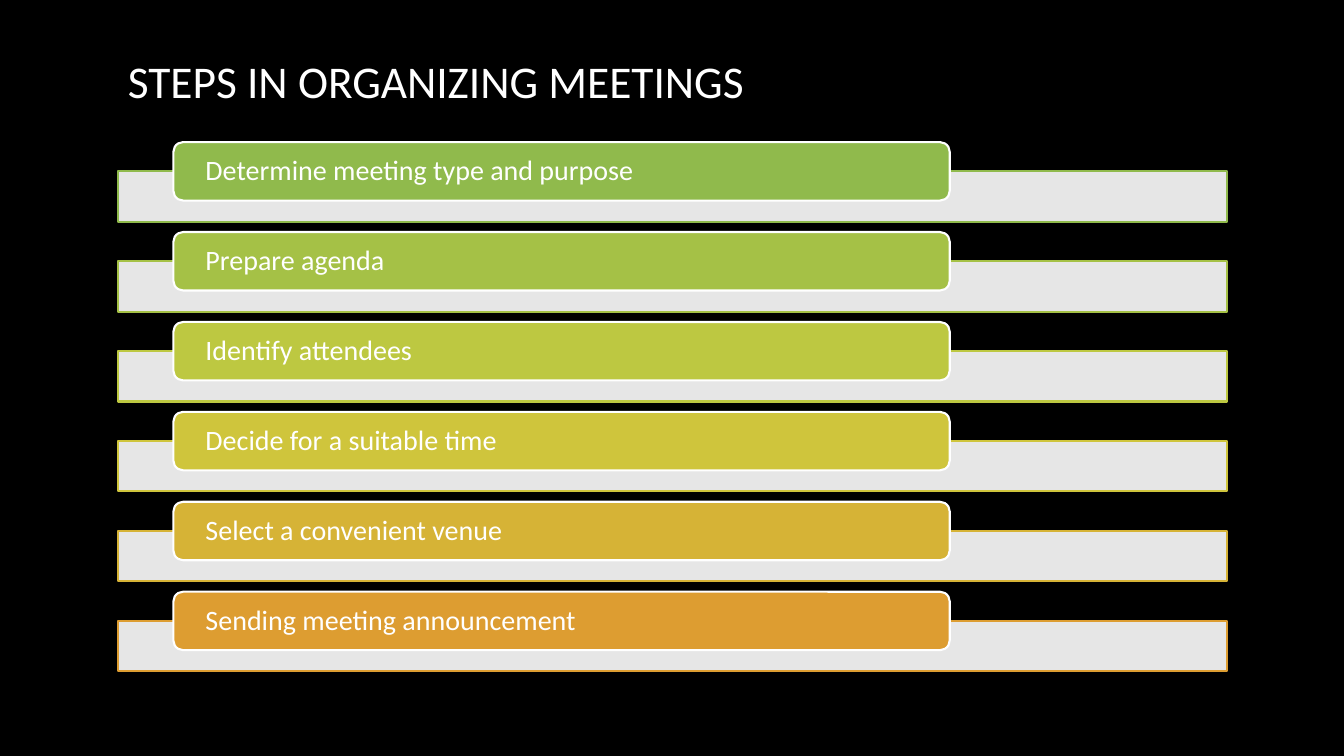
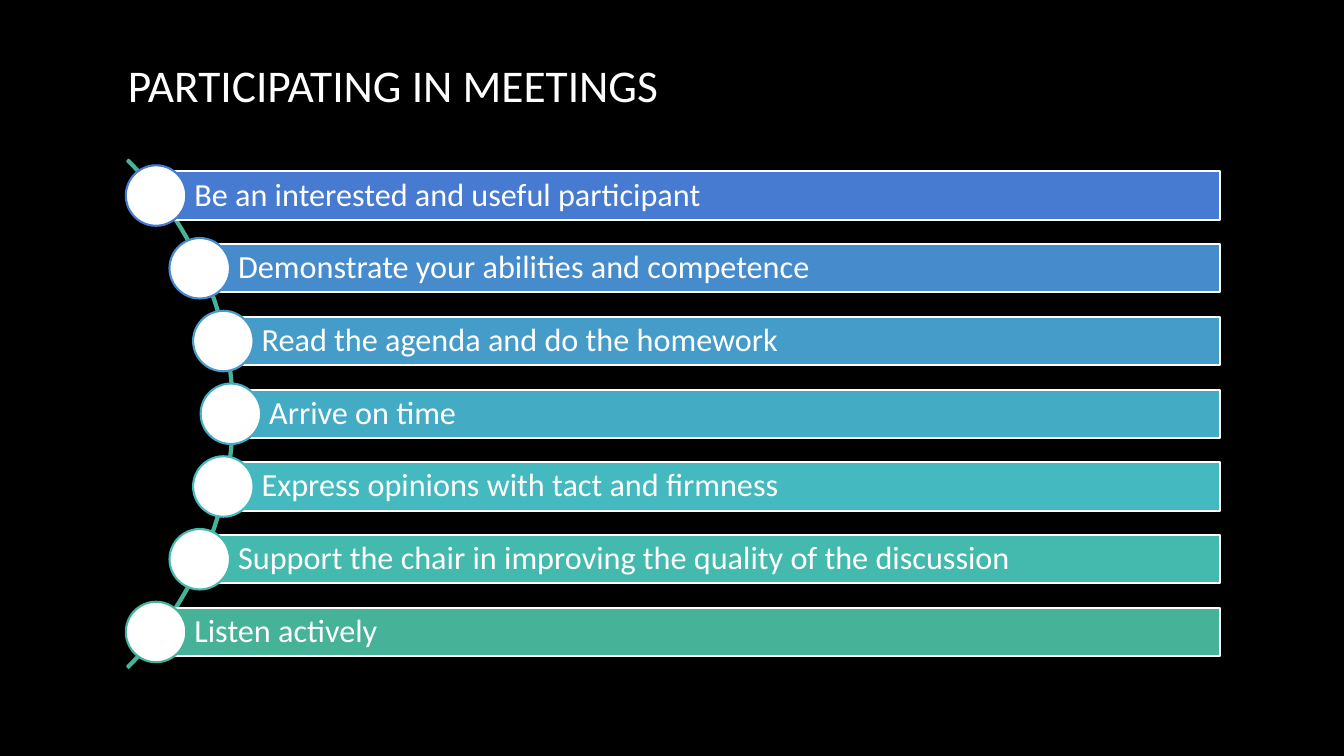
from math import sqrt

from lxml import etree
from pptx import Presentation
from pptx.dml.color import RGBColor
from pptx.enum import shapes, text
from pptx.oxml.ns import qn
from pptx.util import Inches, Pt

BLACK = RGBColor(0x00, 0x00, 0x00)
WHITE = RGBColor(0xFF, 0xFF, 0xFF)
ARC_GREEN = RGBColor(0x46, 0xB2, 0x98)
FONT = "Calibri"
KIND = shapes.MSO_SHAPE

STEPS = [
    ("Determine meeting type and purpose", RGBColor(0x90, 0xBA, 0x4C)),
    ("Prepare agenda", RGBColor(0xA5, 0xC1, 0x46)),
    ("Identify attendees", RGBColor(0xBD, 0xC8, 0x41)),
    ("Decide for a suitable time", RGBColor(0xCF, 0xC5, 0x3C)),
    ("Select a convenient venue", RGBColor(0xD6, 0xB3, 0x36)),
    ("Sending meeting announcement", RGBColor(0xDD, 0x9D, 0x31)),
]
HABITS = [
    ("Be an interested and useful participant", RGBColor(0x47, 0x7B, 0xD1)),
    ("Demonstrate your abilities and competence", RGBColor(0x46, 0x8C, 0xCD)),
    ("Read the agenda and do the homework", RGBColor(0x45, 0x9C, 0xC8)),
    ("Arrive on time", RGBColor(0x44, 0xAB, 0xC4)),
    ("Express opinions with tact and firmness", RGBColor(0x44, 0xB9, 0xBF)),
    ("Support the chair in improving the quality of the discussion", RGBColor(0x44, 0xB9, 0xAE)),
    ("Listen actively", ARC_GREEN),
]


def write(shape, words, size, margins, spacing=1.0):
    frame = shape.text_frame
    left, top, right, bottom = (Inches(margin) for margin in margins)
    settings = {
        "word_wrap": True,
        "vertical_anchor": text.MSO_ANCHOR.MIDDLE,
        "margin_left": left,
        "margin_top": top,
        "margin_right": right,
        "margin_bottom": bottom,
    }
    for name, value in settings.items():
        setattr(frame, name, value)
    paragraph = frame.paragraphs[0]
    paragraph.text = words
    paragraph.alignment = text.PP_ALIGN.LEFT
    paragraph.line_spacing = spacing
    for name, value in {"name": FONT, "size": Pt(size)}.items():
        setattr(paragraph.font, name, value)
    paragraph.font.color.rgb = WHITE


def add_outlined(slide, kind, box, fill, line):
    shape = slide.shapes.add_shape(kind, *(Inches(value) for value in box))
    shape.shadow.inherit = False
    if fill is None:
        shape.fill.background()
    else:
        shape.fill.solid()
        shape.fill.fore_color.rgb = fill
    shape.line.color.rgb = line
    shape.line.width = Pt(1.5)
    return shape


def set_opacity(shape, percent):
    color = shape.fill._xPr.find(qn("a:solidFill"))[0]
    etree.SubElement(color, qn("a:alpha")).set("val", str(percent * 1000))


def add_titled_slide(presentation, title, height):
    slide = presentation.slides.add_slide(presentation.slide_layouts[6])
    box = slide.shapes.add_textbox(Inches(1.17), Inches(0.53), Inches(11), Inches(height))
    write(box, title, 32.4, (0.1, 0.05, 0.1, 0.05))
    return slide


def build_steps(presentation):
    slide = add_titled_slide(presentation, "STEPS IN ORGANIZING MEETINGS", 0.53)
    pitch = (5.87 - 1.41) / (len(STEPS) - 1)
    for index, (step, color) in enumerate(STEPS):
        top = 1.41 + index * pitch
        band = add_outlined(slide, KIND.RECTANGLE, (1.17, top + 0.29, 11, 0.5), WHITE, color)
        set_opacity(band, 90)
        label = add_outlined(slide, KIND.ROUNDED_RECTANGLE, (1.72, top, 7.7, 0.58), color, WHITE)
        write(label, step, 20, (0.29, 0, 0.29, 0), 0.9)


def build_habits(presentation):
    slide = add_titled_slide(presentation, "PARTICIPATING IN MEETINGS", 0.62)
    arc = add_outlined(slide, KIND.BLOCK_ARC, (-4.81, 0.54, 7.13, 7.13), None, ARC_GREEN)
    for index, value in enumerate((189, 27, 0.003)):
        arc.adjustments[index] = value

    first_top, last_top, right = 1.7, 6.03, 12.1
    bar_height, dot = 0.48, 0.6
    center_x, radius = -1.24, 3.53
    pitch = (last_top - first_top) / (len(HABITS) - 1)
    for index, (habit, color) in enumerate(HABITS):
        top = first_top + index * pitch
        rise = top - (first_top + last_top) / 2
        left = center_x + sqrt(radius ** 2 - rise ** 2)
        bar = add_outlined(slide, KIND.RECTANGLE, (left, top, right - left, bar_height), color, WHITE)
        write(bar, habit, 23, (0.38, 0.06, 0.06, 0.06), 0.9)
        dot_top = top + (bar_height - dot) / 2
        add_outlined(slide, KIND.OVAL, (left - dot / 2, dot_top, dot, dot), WHITE, color)


def main():
    presentation = Presentation()
    presentation.slide_width = Inches(13.33)
    presentation.slide_height = Inches(7.5)
    background = presentation.slide_master.background.fill
    background.solid()
    background.fore_color.rgb = BLACK
    build_steps(presentation)
    build_habits(presentation)
    presentation.save("out.pptx")


if __name__ == "__main__":
    main()
